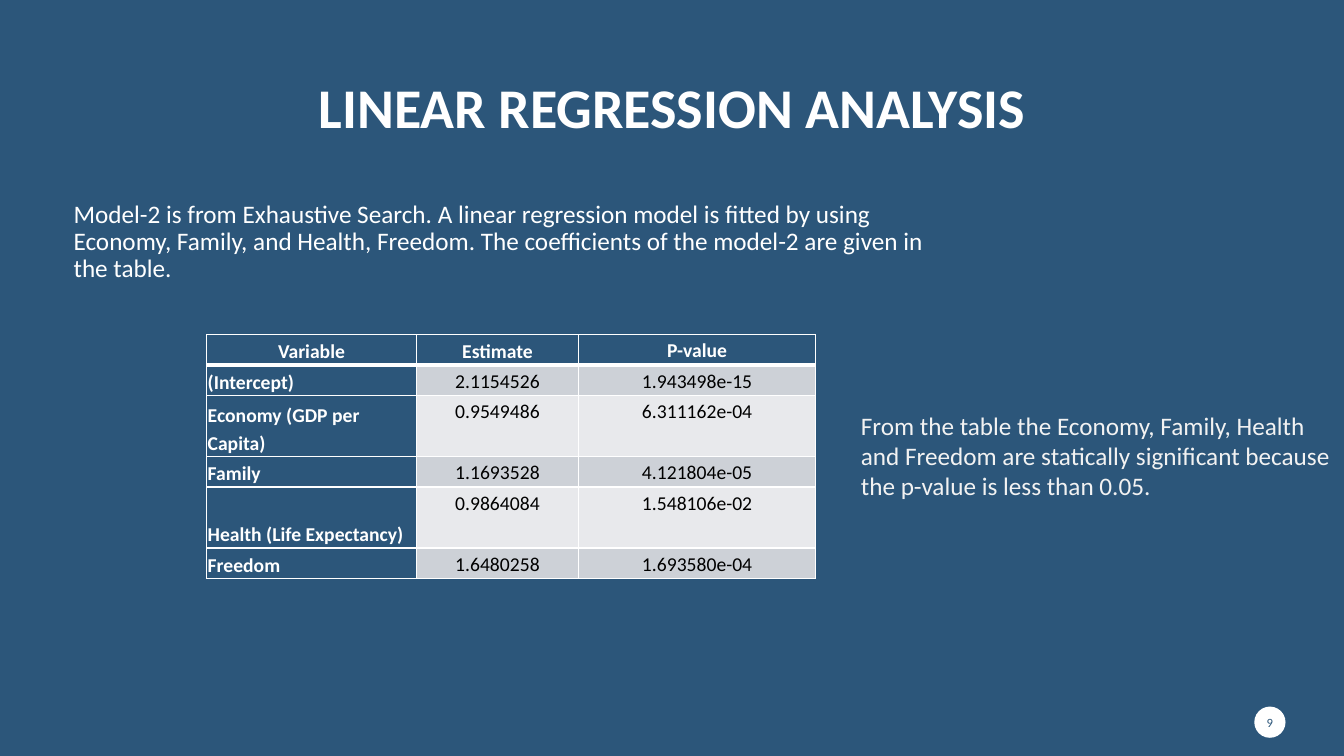
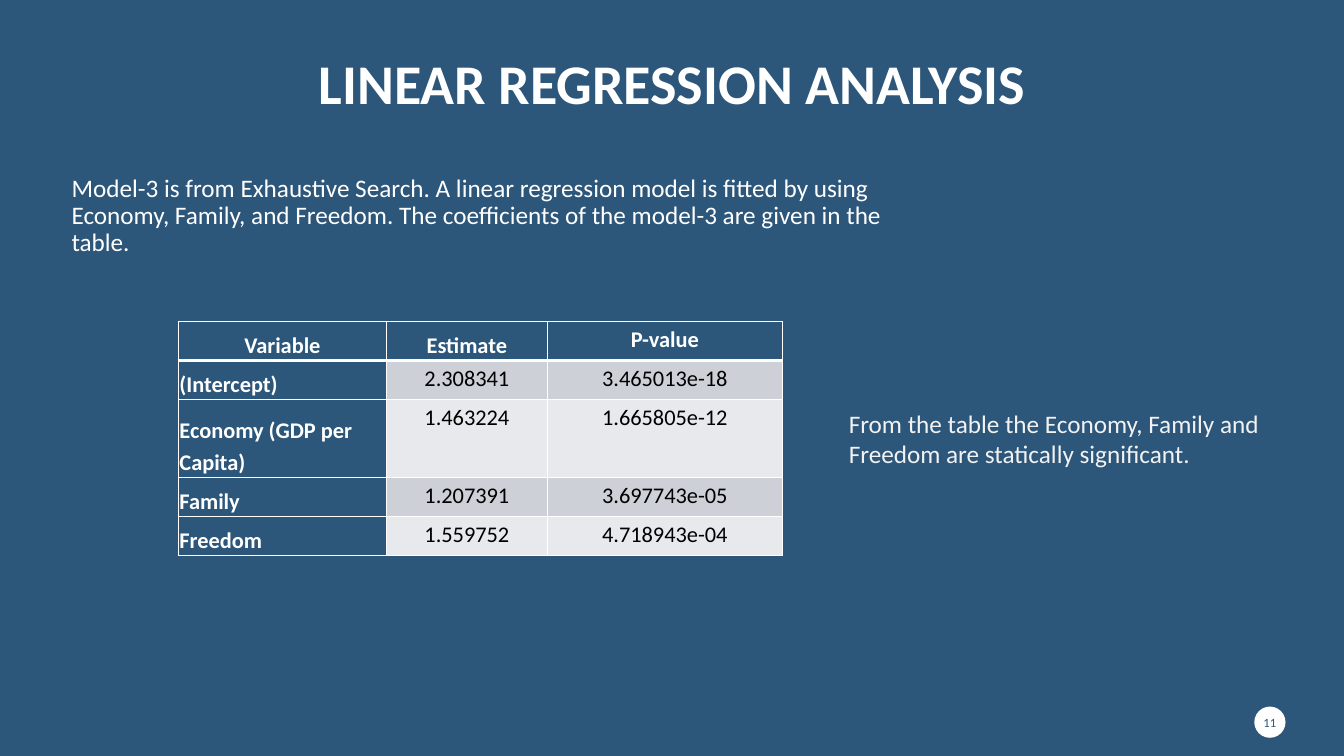
import pptx
import pptx.dml.color
import pptx.enum.shapes
import pptx.enum.text
import pptx.oxml
import pptx.oxml.ns
import pptx.util

PX = 9144
BLUE, WHITE, PALE, BLACK = "2C567A", "FFFFFF", "F2F2F2", "000000"
BANDS = ["CDD1D7", "E8E9EC"]
COLS = [208, 161, 235]
HEAD = ["Variable", "Estimate", "P-value"]
ALIGN = pptx.enum.text.PP_ALIGN
ANCHOR = pptx.enum.text.MSO_ANCHOR

MODELS = [
    {
        "page": "9",
        "title": (125, 59, 1083, 86),
        "intro": (63, 195, 892, 103),
        "grid": (205, 332, 604, 242),
        "note": (844, 402, 489, 101),
        "size": 14,
        "about": "Model-2 is from Exhaustive Search. A linear regression model is fitted by using "
                 "Economy, Family, and Health, Freedom. The coefficients of the model-2 are given "
                 "in the table.",
        "found": "From the table the Economy, Family, Health and Freedom are statically "
                 "significant because the p-value is less than 0.05.",
        "lines": [1, 1, 2, 1, 2, 1],
        "rows": [
            ["(Intercept)", "2.1154526", "1.943498e-15"],
            ["Economy (GDP per Capita)", "0.9549486", "6.311162e-04"],
            ["Family", "1.1693528", "4.121804e-05"],
            ["Health (Life Expectancy)", "0.9864084", "1.548106e-02"],
            ["Freedom", "1.6480258", "1.693580e-04"],
        ],
    },
    {
        "page": "11",
        "title": (125, 39, 1083, 82),
        "intro": (61, 169, 841, 126),
        "grid": (177, 319, 599, 232),
        "note": (832, 400, 467, 71),
        "size": 16,
        "about": "Model-3 is from Exhaustive Search. A linear regression model is fitted by using "
                 "Economy, Family, and Freedom. The coefficients of the model-3 are given in the "
                 "table.",
        "found": "From the table the Economy, Family and Freedom are statically significant.",
        "lines": [1, 1, 2, 1, 1],
        "rows": [
            ["(Intercept)", "2.308341", "3.465013e-18"],
            ["Economy (GDP per Capita)", "1.463224", "1.665805e-12"],
            ["Family", "1.207391", "3.697743e-05"],
            ["Freedom", "1.559752", "4.718943e-04"],
        ],
    },
]


def scale(box):
    return [n * PX for n in box]


def paint(fill, color):
    fill.solid()
    fill.fore_color.rgb = pptx.dml.color.RGBColor.from_string(color)


def place(shape, box):
    shape.left, shape.top, shape.width, shape.height = scale(box)


def write(frame, text, size, color, bold=False, align=ALIGN.LEFT, space=1.0):
    frame.word_wrap = True
    par = frame.paragraphs[0]
    par.text = text
    par.alignment = align
    par.line_spacing = space
    par.font.name = "Calibri"
    par.font.size = pptx.util.Pt(size)
    par.font.bold = bold
    par.font.color.rgb = pptx.dml.color.RGBColor.from_string(color)
    return par


def inset(frame, gap):
    frame.margin_left = frame.margin_right = gap * PX
    frame.margin_top = frame.margin_bottom = gap * PX


def edge(cell, top, base):
    props = cell._tc.get_or_add_tcPr()
    sides = [("L", 1), ("R", 1), ("T", top), ("B", base)]
    for spot, (side, width) in enumerate(sides):
        props.insert(spot, pptx.oxml.parse_xml(
            f'<a:ln{side} {pptx.oxml.ns.nsdecls("a")} w="{pptx.util.Pt(width)}">'
            f'<a:solidFill><a:srgbClr val="{WHITE}"/></a:solidFill></a:ln{side}>'))


def add_title(slide, box):
    title = slide.shapes.title
    place(title, box)
    frame = title.text_frame
    frame.auto_size = pptx.enum.text.MSO_AUTO_SIZE.NONE
    frame.vertical_anchor = ANCHOR.BOTTOM
    write(frame, "LINEAR REGRESSION ANALYSIS", 40, WHITE, True, ALIGN.CENTER, 0.9)


def add_intro(slide, box, text):
    body = slide.placeholders[1]
    place(body, box)
    body.text_frame.auto_size = pptx.enum.text.MSO_AUTO_SIZE.NONE
    par = write(body.text_frame, text, 18, WHITE, space=0.9)
    par.space_before = pptx.util.Pt(10)
    props = par._p.get_or_add_pPr()
    props.set("marL", "0")
    props.set("indent", "0")
    mark = pptx.oxml.parse_xml(f'<a:buNone {pptx.oxml.ns.nsdecls("a")}/>')
    props.find(pptx.oxml.ns.qn("a:defRPr")).addprevious(mark)


def add_grid(slide, box, rows, lines, size):
    rows = [HEAD] + rows
    table = slide.shapes.add_table(len(rows), len(HEAD), *scale(box)).table
    width, height = scale(box[2:])
    for col, part in zip(table.columns, COLS):
        col.width = width * part // sum(COLS)
    for row, part in zip(table.rows, lines):
        row.height = height * part // sum(lines)
    for r, row in enumerate(rows):
        for c, text in enumerate(row):
            cell = table.cell(r, c)
            label = r == 0 or c == 0
            low = c == 0 or (r == 0 and c == 1)
            inset(cell, 1)
            cell.vertical_anchor = ANCHOR.BOTTOM if low else ANCHOR.TOP
            write(cell.text_frame, text, size, WHITE if label else BLACK, label,
                  ALIGN.LEFT if r and c == 0 else ALIGN.CENTER, 1.15)
            paint(cell.fill, BLUE if label else BANDS[(r - 1) % 2])
            edge(cell, 3 if r == 1 else 1, 3 if r == 0 else 1)


def add_note(slide, box, text):
    note = slide.shapes.add_textbox(*scale(box))
    write(note.text_frame, text, 18, PALE)


def add_badge(slide, box, text):
    badge = slide.shapes.add_shape(pptx.enum.shapes.MSO_SHAPE.OVAL, *scale(box))
    badge.shadow.inherit = False
    paint(badge.fill, WHITE)
    badge.line.fill.background()
    frame = badge.text_frame
    inset(frame, 0)
    frame.vertical_anchor = ANCHOR.MIDDLE
    write(frame, text, 9, BLUE, align=ALIGN.CENTER)


def add_model(deck, model):
    slide = deck.slides.add_slide(deck.slide_layouts[1])
    add_title(slide, model["title"])
    add_intro(slide, model["intro"], model["about"])
    add_grid(slide, model["grid"], model["rows"], model["lines"], model["size"])
    add_note(slide, model["note"], model["found"])
    add_badge(slide, (1244, 701, 31, 31), model["page"])


def main():
    deck = pptx.Presentation()
    deck.slide_width, deck.slide_height = scale((1333, 750))
    paint(deck.slide_master.background.fill, BLUE)
    for model in MODELS:
        add_model(deck, model)
    deck.save("out.pptx")


if __name__ == "__main__":
    main()
